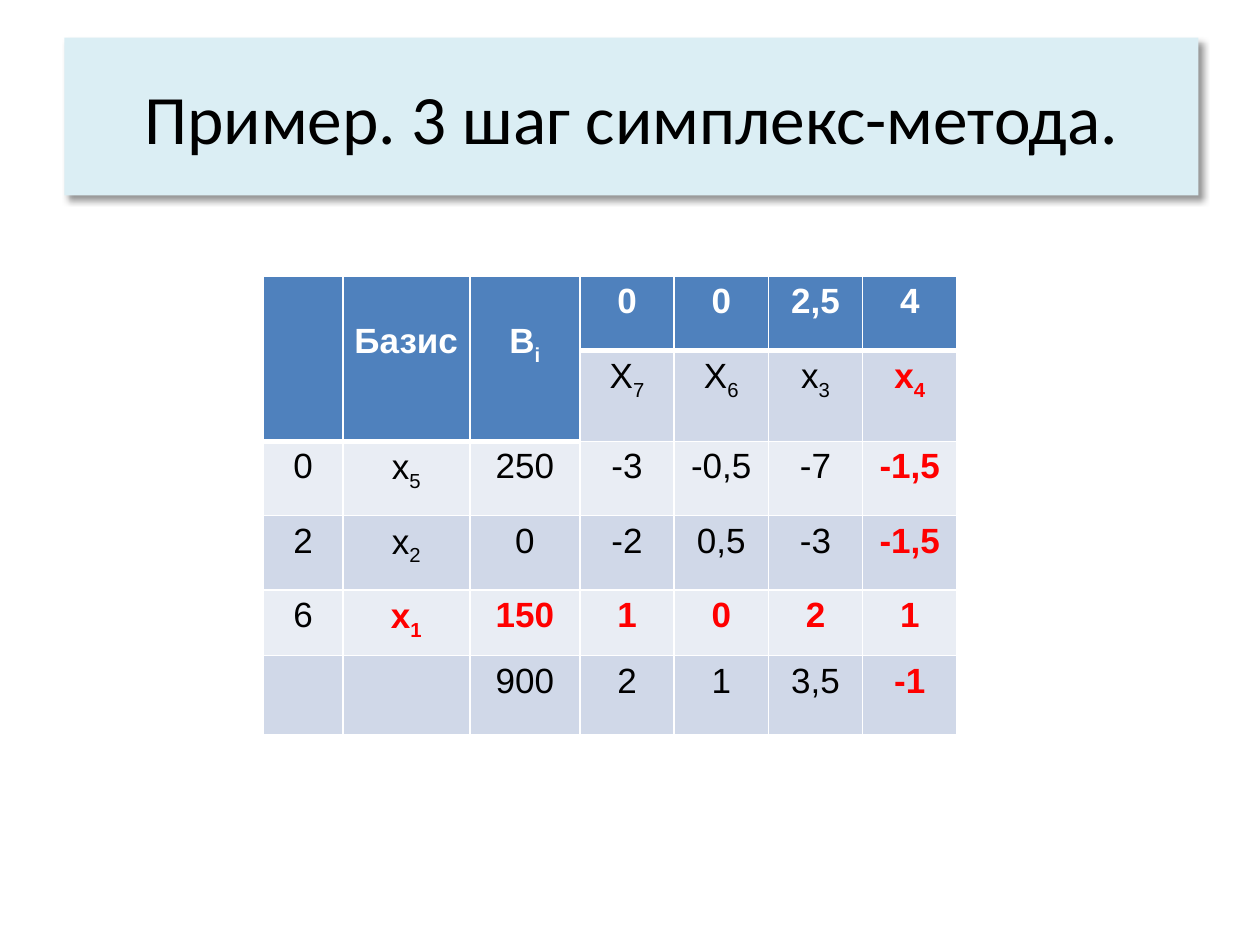
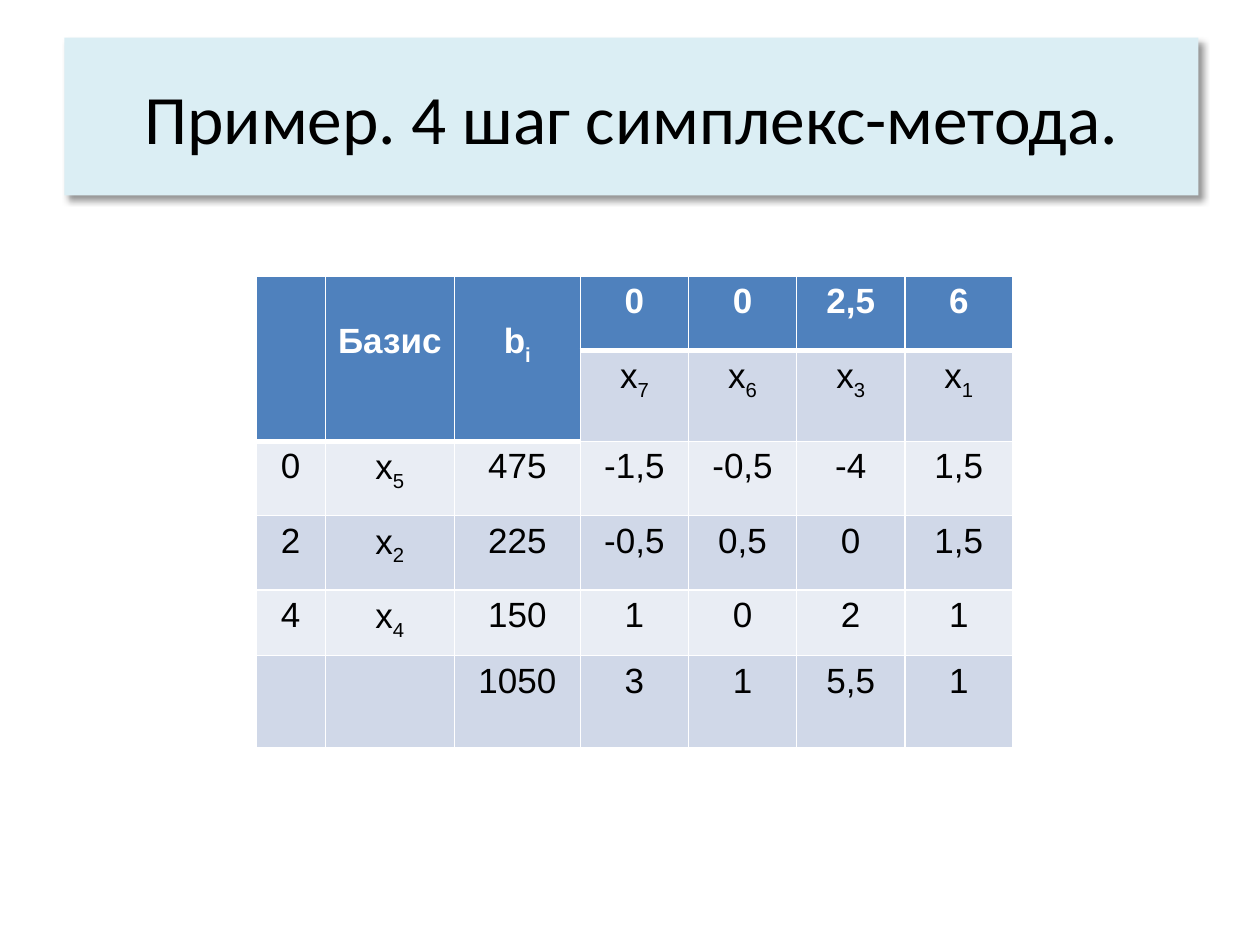
"""Build two slides with the third and fourth simplex tables."""
import pptx
import pptx.dml.color
import pptx.enum.text
import pptx.oxml
import pptx.oxml.ns
import pptx.util

Cm, Pt = pptx.util.Cm, pptx.util.Pt
CENTER = pptx.enum.text.PP_ALIGN.CENTER
HUES = {"band": "DBEEF4", "head": "4F81BD", "dark": "D0D8E8", "light": "E9EDF4",
        "white": "FFFFFF", "black": "000000", "red": "FF0000"}
SPACE = pptx.oxml.ns.nsdecls("a")
STEPS = [
    {"title": "Пример. 3 шаг симплекс-метода.", "left": 5.31,
     "cols": [1.6, 2.56, 2.22] + [1.9] * 4, "last": 1.6,
     "rows": ["|Базис|B_i|0|0|2,5|4",
              "|||X_7|X_6|x_3|*x_4",
              "0|x_5|250|-3|-0,5|-7|*-1,5",
              "2|x_2|0|-2|0,5|-3|*-1,5",
              "6|*x_1|*150|*1|*0|*2|*1",
              "||900|2|1|3,5|*-1"]},
    {"title": "Пример. 4 шаг симплекс-метода.", "left": 5.16,
     "cols": [1.4, 2.6, 2.54] + [2.18] * 4, "last": 1.85,
     "rows": ["|Базис|b_i|0|0|2,5|6",
              "|||x_7|x_6|x_3|x_1",
              "0|x_5|475|-1,5|-0,5|-4|1,5",
              "2|x_2|225|-0,5|0,5|0|1,5",
              "4|x_4|150|1|0|2|1",
              "||1050|3|1|5,5|1"]},
]


def apply(item, form):
    """Set each attribute named in a dict of format values."""
    for name, value in form.items():
        setattr(item, name, value)


class Deck:
    """Hold the shared style and the current slide."""

    def __init__(self):
        """Start an empty 10 by 7.5 inch deck."""
        self.show = pptx.Presentation()
        apply(self.show, {"slide_width": Cm(25.4), "slide_height": Cm(19.05)})
        self.slide = None

    def color(self, name):
        """Return a named colour."""
        return pptx.dml.color.RGBColor.from_string(HUES[name])

    def fill(self, item, name):
        """Fill a shape or cell with a named colour."""
        item.fill.solid()
        item.fill.fore_color.rgb = self.color(name)

    def font(self, run, face, size, hue, bold=False):
        """Format the font of a run."""
        apply(run.font, {"name": face, "size": Pt(size), "bold": bold})
        run.font.color.rgb = self.color(hue)

    def page(self, text):
        """Add a slide with its title band."""
        self.slide = self.show.slides.add_slide(self.show.slide_layouts[5])
        title = self.slide.shapes.title
        apply(title, {"left": Cm(1.3), "top": Cm(0.76),
                      "width": Cm(22.86), "height": Cm(3.18)})
        self.fill(title, "band")
        title._element.spPr.append(pptx.oxml.parse_xml(
            f'<a:effectLst {SPACE}><a:outerShdw blurRad="{Pt(4)}" dist="{Pt(3)}" '
            f'dir="2700000" algn="tl" rotWithShape="0"><a:srgbClr val="{HUES["black"]}">'
            '<a:alpha val="40000"/></a:srgbClr></a:outerShdw></a:effectLst>'))
        apply(title.text_frame, {
            "text": text, "word_wrap": True,
            "auto_size": pptx.enum.text.MSO_AUTO_SIZE.NONE,
            "vertical_anchor": pptx.enum.text.MSO_ANCHOR.MIDDLE})
        line = title.text_frame.paragraphs[0]
        line.alignment = CENTER
        self.font(line.runs[0], "Calibri", 39.6, "black")

    def edges(self, cell, top, base):
        """Draw white borders, with the given top and bottom widths."""
        for side, width in zip("LRTB", (1, 1, top, base)):
            cell._tc.get_or_add_tcPr().append(pptx.oxml.parse_xml(
                f'<a:ln{side} {SPACE} w="{Pt(width)}"><a:solidFill>'
                f'<a:srgbClr val="{HUES["white"]}"/></a:solidFill></a:ln{side}>'))

    def label(self, cell, mark, head):
        """Put a value in a cell: * marks red, _ starts a subscript."""
        red = mark.startswith("*")
        hue = "white" if head else "red" if red else "black"
        line = cell.text_frame.paragraphs[0]
        apply(line, {"alignment": CENTER, "line_spacing": 1.15})
        for rank, part in enumerate(mark.lstrip("*").split("_")):
            run = line.add_run()
            run.text = part
            self.font(run, "Arial", 20, hue, head or red)
            if rank:
                run._r.get_or_add_rPr().set("baseline", "-25000")

    def grid(self, left, cols, last, rows):
        """Add a simplex table whose first three headings span two rows."""
        highs = [1.5, 1.8, 1.5, 1.5, 1.32, last]
        table = self.slide.shapes.add_table(
            len(rows), len(cols), Cm(left), Cm(5.56),
            Cm(sum(cols)), Cm(sum(highs))).table
        for col, wide in zip(table.columns, cols):
            col.width = Cm(wide)
        for row, high in zip(table.rows, highs):
            row.height = Cm(high)
        for r, row in enumerate(rows):
            for c, mark in enumerate(row.split("|")):
                cell = table.cell(r, c)
                tall = c < 3
                head = r == 0 or (r == 1 and tall)
                rule = 2 if tall else 1
                apply(cell, {"margin_left": Cm(0.18), "margin_right": Cm(0.18),
                             "margin_top": Cm(0.8 if tall and head else 0),
                             "margin_bottom": 0})
                self.edges(cell, 3 if r == rule else 1,
                           3 if r == rule - 1 or (head and tall) else 1)
                self.fill(cell, "head" if head else "dark" if r % 2 else "light")
                if mark:
                    self.label(cell, mark, head)
        for c in range(3):
            table.cell(0, c).merge(table.cell(1, c))


def main():
    """Build and save the deck."""
    deck = Deck()
    for step in STEPS:
        deck.page(step["title"])
        deck.grid(step["left"], step["cols"], step["last"], step["rows"])
    deck.show.save("out.pptx")


if __name__ == "__main__":
    main()
